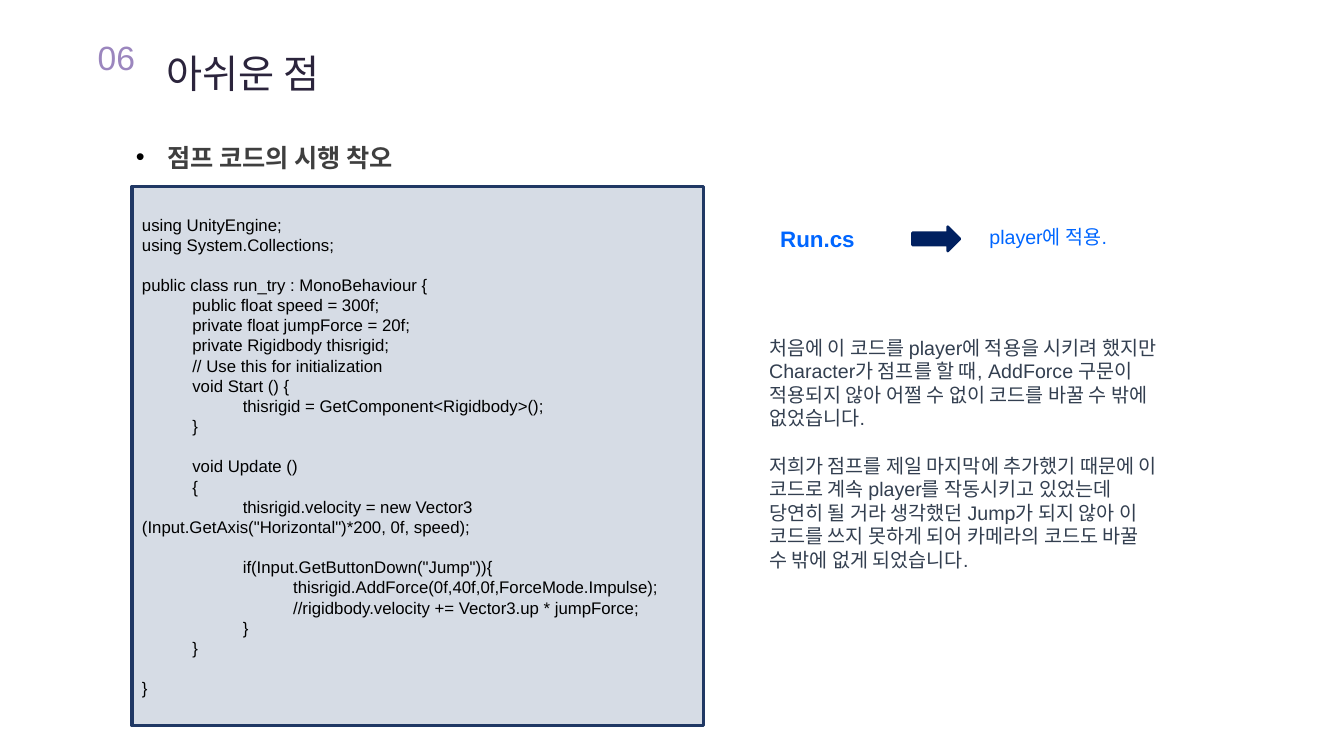
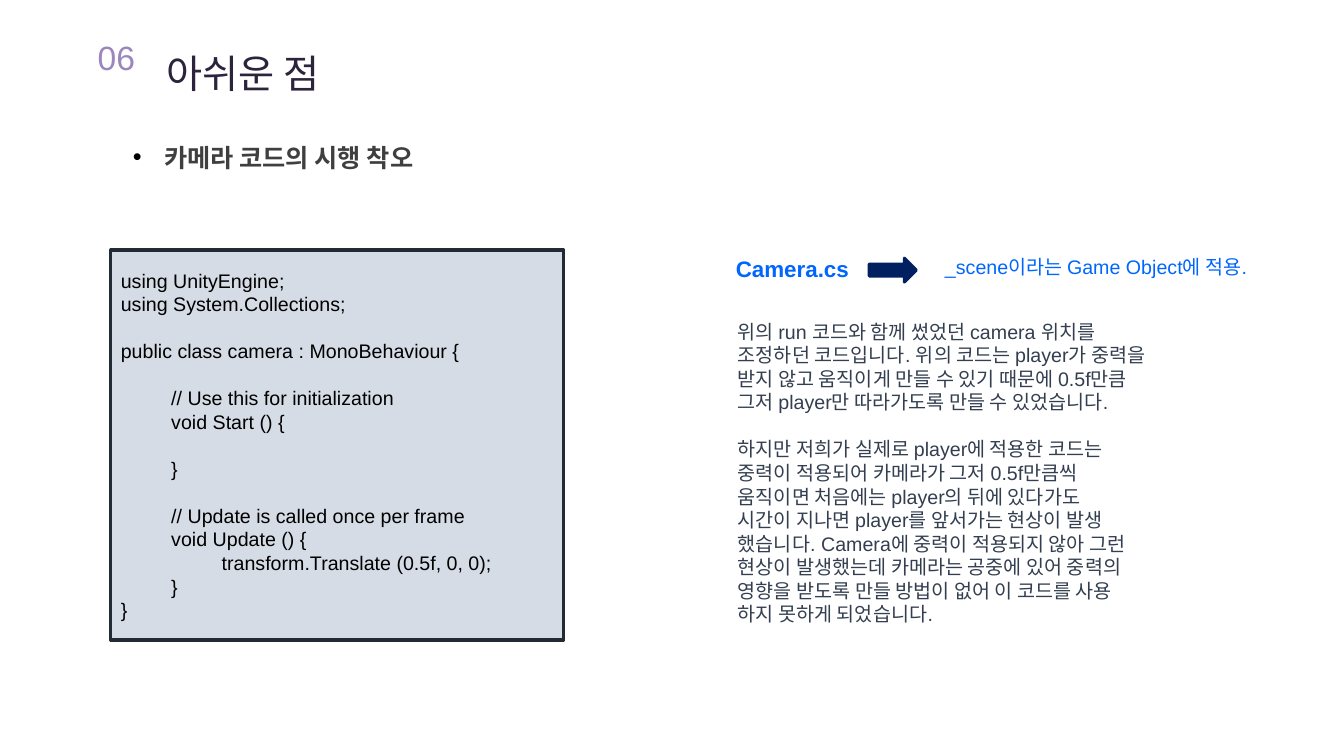
from lxml.etree import SubElement
from pptx import Presentation
from pptx.dml.color import RGBColor
from pptx.enum.shapes import MSO_SHAPE
from pptx.enum.text import MSO_ANCHOR, MSO_AUTO_SIZE, PP_ALIGN
from pptx.oxml.ns import qn
from pptx.util import Inches, Pt

COLORS = {
    "number": "9B86BE", "title": "2B243C", "heading": "3F3F3F", "bullet": "000000",
    "code": "000000", "panel": "D6DCE5", "accent": "0066FF", "arrow": "002060",
    "body": "333F50", "jump_border": "203864", "camera_border": "222A35",
}
STYLES = {
    "number": {"size": 24},
    "title": {"size": 28, "bold": False},
    "heading": {"size": 18, "bold": True},
    "file": {"size": 16, "bold": True, "color": "accent"},
    "target": {"size": 14, "color": "accent"},
    "body": {"size": 14},
    "code": {},
}
NUMBER, TITLE = "06", "아쉬운 점"

JUMP_CODE = """using UnityEngine;
using System.Collections;

public class run_try : MonoBehaviour {
\tpublic float speed = 300f;
\tprivate float jumpForce = 20f;
\tprivate Rigidbody thisrigid;
\t// Use this for initialization
\tvoid Start () {
\t\tthisrigid = GetComponent<Rigidbody>();
\t}

\tvoid Update ()
\t{
\t\tthisrigid.velocity = new Vector3 (Input.GetAxis("Horizontal")*200, 0f, speed);

\t\tif(Input.GetButtonDown("Jump")){
\t\t\tthisrigid.AddForce(0f,40f,0f,ForceMode.Impulse);
\t\t\t//rigidbody.velocity += Vector3.up * jumpForce;
\t\t}
\t}

}"""

CAMERA_CODE = """using UnityEngine;
using System.Collections;

public class camera : MonoBehaviour {

\t// Use this for initialization
\tvoid Start () {

\t}

\t// Update is called once per frame
\tvoid Update () {
\t\ttransform.Translate (0.5f, 0, 0);
\t}
}"""

SLIDES = [
    {
        "heading": ("점프 코드의 시행 착오", 1.25),
        "code": (JUMP_CODE, 12, "jump_border", (1.31, 1.85, 5.67, 5.35)),
        "file": ("Run.cs", (7.64, 2.18, 1.1, 0.37)),
        "target": (" player에 적용.", (9.66, 2.18, 1.49, 0.6)),
        "arrow": (9.05, 2.25),
        "body_at": (7.53, 3.28, 4.09, 2.69),
        "body": [
            ["처음에 이 코드를 player에 적용을 시키려 했지만 Character가 점프를 할 때, "
             "AddForce 구문이 적용되지 않아 어쩔 수 없이 코드를 바꿀 수 밖에 없었습니다."],
            ["저희가 점프를 제일 마지막에 추가했기 때문에 이 코드로 계속 player를 작동시키고 "
             "있었는데 당연히 될 거라 생각했던 Jump가 되지 않아 이 코드를 쓰지 못하게 되어 "
             "카메라의 코드도 바꿀 수 밖에 없게 되었습니다."],
        ],
    },
    {
        "heading": ("카메라 코드의 시행 착오", 1.22),
        "code": (CAMERA_CODE, 14, "camera_border", (1.1, 2.48, 4.49, 3.87)),
        "file": ("Camera.cs", (7.2, 2.48, 1.4, 0.37)),
        "target": (" _scene이라는 Game Object에 적용.", (9.22, 2.48, 3.4, 0.6)),
        "arrow": (8.62, 2.56),
        "body_at": (7.22, 3.12, 5.5, 3.16),
        "body": [
            ["위의 run 코드와 함께 썼었던 camera 위치를",
             "조정하던 코드입니다. 위의 코드는 player가 중력을",
             "받지 않고 움직이게 만들 수 있기 때문에 0.5f만큼",
             "그저 player만 따라가도록 만들 수 있었습니다."],
            ["하지만 저희가 실제로 player에 적용한 코드는",
             "중력이 적용되어 카메라가 그저 0.5f만큼씩",
             "움직이면 처음에는 player의 뒤에 있다가도",
             "시간이 지나면 player를 앞서가는 현상이 발생",
             "했습니다. Camera에 중력이 적용되지 않아 그런",
             "현상이 발생했는데 카메라는 공중에 있어 중력의",
             "영향을 받도록 만들 방법이 없어 이 코드를 사용",
             "하지 못하게 되었습니다."],
        ],
    },
]


def place(sp, at):
    for name, value in zip(("left", "top", "width", "height"), at):
        setattr(sp, name, Inches(value))


def write(sp, lines, style, align=PP_ALIGN.LEFT, anchor=MSO_ANCHOR.TOP, **extra):
    values = {"color": style, **STYLES[style], **extra}
    tf = sp.text_frame
    frame = {"word_wrap": True, "auto_size": MSO_AUTO_SIZE.NONE, "vertical_anchor": anchor}
    for name, value in frame.items():
        setattr(tf, name, value)
    for i, line in enumerate(lines):
        p = tf.add_paragraph() if i else tf.paragraphs[0]
        p.alignment = align
        if not line:
            SubElement(p._p, qn("a:endParaRPr"), sz=str(values["size"] * 100))
            continue
        r = p.add_run()
        r.text = line
        font = {"name": "Arial", "size": Pt(values["size"]), "bold": values.get("bold", False)}
        for name, value in font.items():
            setattr(r.font, name, value)
        r.font.color.rgb = RGBColor.from_string(COLORS[values["color"]])
    return tf.paragraphs


def add_text(s, at, lines, style, **extra):
    sp = s.shapes.add_textbox(*map(Inches, at))
    return write(sp, lines, style, **extra)


def add_box(s, kind, at, fill, line, width):
    sp = s.shapes.add_shape(kind, *map(Inches, at))
    sp.shadow.inherit = False
    sp.fill.solid()
    sp.fill.fore_color.rgb = RGBColor.from_string(COLORS[fill])
    sp.line.color.rgb = RGBColor.from_string(COLORS[line])
    sp.line.width = Pt(width)
    return sp


def add_bullet(p):
    pPr = p._p.get_or_add_pPr()
    pPr.set("marL", str(Inches(0.31)))
    pPr.set("indent", str(-Inches(0.31)))
    SubElement(SubElement(pPr, qn("a:buClr")), qn("a:srgbClr"), val=COLORS["bullet"])
    SubElement(pPr, qn("a:buFont"), typeface="Arial")
    SubElement(pPr, qn("a:buChar"), char="•")


def add_header(s, heading, left):
    add_text(s, (0.59, 0.32, 1.13, 0.75), [NUMBER], "number", align=PP_ALIGN.CENTER)
    place(s.shapes.title, (1.55, 0.21, 3.83, 0.75))
    title = write(s.shapes.title, [TITLE], "title")[0]
    p = add_text(s, (left, 1.21, 6.21, 0.52), [heading], "heading")[0]
    add_bullet(p)
    title.line_spacing = p.line_spacing = 1.5


def add_body(s, at, blocks):
    lines = [line for block in blocks for line in block]
    paragraphs = add_text(s, at, lines, "body")
    start = 0
    for block in blocks[:-1]:
        start += len(block)
        paragraphs[start].space_before = Pt(17)


def build_slide(prs, data):
    s = prs.slides.add_slide(prs.slide_layouts[5])
    add_header(s, *data["heading"])
    code, size, border, at = data["code"]
    panel = add_box(s, MSO_SHAPE.RECTANGLE, at, "panel", border, 2.25)
    write(panel, code.split("\n"), "code", anchor=MSO_ANCHOR.MIDDLE, size=size)
    for style in ("file", "target"):
        text, at = data[style]
        add_text(s, at, [text], style)
    add_box(s, MSO_SHAPE.RIGHT_ARROW, (*data["arrow"], 0.47, 0.24), "arrow", "arrow", 2)
    add_body(s, data["body_at"], data["body"])


def main():
    prs = Presentation()
    prs.slide_width, prs.slide_height = Inches(13.33), Inches(7.5)
    for data in SLIDES:
        build_slide(prs, data)
    prs.save("out.pptx")


if __name__ == "__main__":
    main()
